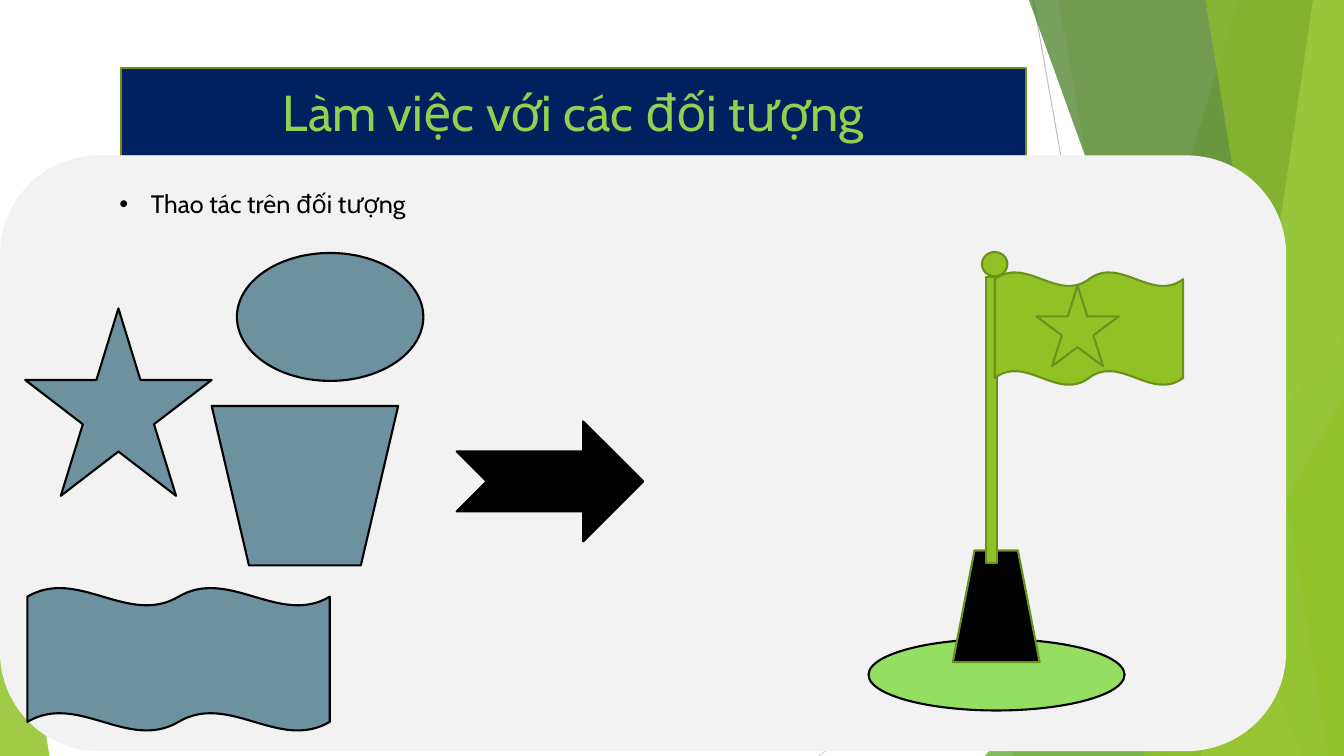
from dataclasses import dataclass
from typing import Any, Optional

from lxml import etree
from pptx import Presentation
from pptx import util as u
from pptx.dml import color
from pptx.enum import shapes, text
from pptx.oxml import ns

FONT = "Cabin"
COLOURS = {
    "navy": "002060", "title": "92D050", "panel": "F2F2F2", "steel": "6E91A0",
    "black": "000000", "lime": "90C226", "olive": "6B901C", "grass": "94DE61",
    "leaf": "54A021", "forest": "3F7819", "pale": "C0E474",
    "grey": "BFBFBF", "silver": "D9D9D9",
}
KIND = shapes.MSO_SHAPE
WIDTH, HEIGHT = 960, 540


@dataclass
class Item:
    kind: Any
    left: float
    top: float
    width: float
    height: float
    fill: str
    line: Optional[str] = None
    alpha: int = 100
    adjust: Optional[float] = None


@dataclass
class Band:
    """A strip reaching the right edge, with a slanted left side."""
    top_x: float
    bottom_x: float
    fill: str
    alpha: int


@dataclass
class Ray:
    start: tuple[float, float]
    end: tuple[float, float]
    colour: str


def rgb(name: str) -> color.RGBColor:
    return color.RGBColor.from_string(COLOURS[name])


def paint(shape: Any, fill: str, line: Optional[str], alpha: int = 100) -> None:
    shape.shadow.inherit = False
    shape.fill.solid()
    shape.fill.fore_color.rgb = rgb(fill)
    if alpha < 100:
        tint = shape.fill._xPr.find(".//" + ns.qn("a:srgbClr"))
        etree.SubElement(tint, ns.qn("a:alpha"), val=str(alpha * 1000))
    if line:
        shape.line.color.rgb = rgb(line)
        shape.line.width = u.Pt(1.5)
    else:
        shape.line.fill.background()


def draw_item(target: Any, item: Item) -> Any:
    shape = target.add_shape(item.kind, u.Pt(item.left), u.Pt(item.top),
                             u.Pt(item.width), u.Pt(item.height))
    if item.adjust is not None:
        shape.adjustments[0] = item.adjust
    paint(shape, item.fill, item.line, item.alpha)
    return shape


def draw_band(target: Any, band: Band) -> None:
    builder = target.build_freeform(u.Pt(band.top_x), 0)
    corners = [(WIDTH, 0), (WIDTH, HEIGHT), (band.bottom_x, HEIGHT)]
    builder.add_line_segments([(u.Pt(x), u.Pt(y)) for x, y in corners], close=True)
    paint(builder.convert_to_shape(), band.fill, None, band.alpha)


def draw_ray(target: Any, ray: Ray) -> None:
    line = target.add_connector(shapes.MSO_CONNECTOR.STRAIGHT,
                                *(u.Pt(n) for n in ray.start + ray.end))
    line.line.color.rgb = rgb(ray.colour)
    line.line.width = u.Pt(0.75)
    etree.SubElement(line._element.spPr, ns.qn("a:effectLst"))


def write(box: Any, words: str, size: float, colour: str, bullet: bool = False) -> None:
    frame = box.text_frame
    frame.word_wrap = True
    frame.vertical_anchor = text.MSO_ANCHOR.MIDDLE
    para = frame.paragraphs[0]
    para.text = words
    para.alignment = text.PP_ALIGN.CENTER
    if bullet:
        props = para._p.get_or_add_pPr()
        props.set("marL", str(u.Pt(22.5)))
        props.set("indent", str(-u.Pt(22.5)))
        etree.SubElement(props, ns.qn("a:buFont"), typeface="Arial")
        etree.SubElement(props, ns.qn("a:buChar"), char="•")
    para.font.name = FONT
    para.font.size = u.Pt(size)
    para.font.color.rgb = rgb(colour)


BACKDROP = [
    Ray((738, 0), (834, HEIGHT), "grey"),
    Ray((WIDTH, 290), (584.6, HEIGHT), "silver"),
    Band(884, 723, "lime", 30),
    Band(756, 852, "lime", 20),
    Item(KIND.ISOSCELES_TRIANGLE, 703.5, 240, 256.5, 300, "leaf", alpha=72, adjust=1),
    Band(735, 929.5, "forest", 70),
    Band(938, 858, "pale", 70),
    Band(861, 949, "lime", 65),
    Item(KIND.ISOSCELES_TRIANGLE, 816.5, 283, 143.5, 257, "lime", alpha=80, adjust=1),
    Item(KIND.ISOSCELES_TRIANGLE, 0, 316, 35.3, 224, "lime", alpha=85, adjust=0),
]
TITLE = Item(KIND.RECTANGLE, 86.4, 48.6, 646.6, 62.6, "navy", "olive")
PANEL = Item(KIND.ROUNDED_RECTANGLE, 0, 111, 918.7, 425.5, "panel")
PARTS = [
    Item(KIND.STAR_5_POINT, 18, 220.3, 133.2, 133.9, "steel", "black"),
    Item(KIND.OVAL, 169.2, 180.7, 133.2, 91.4, "steel", "black"),
    Item(KIND.FLOWCHART_MANUAL_OPERATION, 151.2, 290, 133.2, 113.8, "steel", "black"),
    Item(KIND.DOUBLE_WAVE, 19.6, 419.8, 216, 102.2, "steel", "black"),
    Item(KIND.NOTCHED_RIGHT_ARROW, 326.2, 301, 133.2, 85.7, "black", "black"),
]
FLAG = [
    Item(KIND.OVAL, 620.4, 456.5, 182.9, 51, "grass", "black"),
    Item(KIND.TRAPEZOID, 680.6, 393.2, 62, 79.8, "black", "olive"),
    Item(KIND.RECTANGLE, 704.4, 197.8, 7.6, 204.3, "lime", "olive"),
    Item(KIND.OVAL, 701.4, 180, 18.2, 17.4, "lime", "olive"),
    Item(KIND.DOUBLE_WAVE, 710.6, 194.4, 134.6, 80.6, "lime", "olive"),
    Item(KIND.STAR_5_POINT, 740.2, 204, 59, 57.6, "lime", "olive"),
]


def main() -> None:
    deck = Presentation()
    deck.slide_width, deck.slide_height = u.Pt(WIDTH), u.Pt(HEIGHT)
    page = deck.slides.add_slide(deck.slide_layouts[6])

    # Green facets behind everything
    backdrop = page.shapes.add_group_shape().shapes
    painters = {Ray: draw_ray, Band: draw_band, Item: draw_item}
    for facet in BACKDROP:
        painters[type(facet)](backdrop, facet)

    # Title bar and content panel
    write(draw_item(page.shapes, TITLE), "Làm việc với các đối tượng", 36, "title")
    draw_item(page.shapes, PANEL)

    # Separate parts and the arrow
    for part in PARTS:
        draw_item(page.shapes, part)

    # Bullet line
    box = page.shapes.add_textbox(u.Pt(28), u.Pt(126), u.Pt(319), u.Pt(39))
    write(box, "Thao tác trên đối tượng", 18, "black", bullet=True)

    # Assembled flag
    flag = page.shapes.add_group_shape().shapes
    for piece in FLAG:
        draw_item(flag, piece)

    deck.save("out.pptx")


if __name__ == "__main__":
    main()
